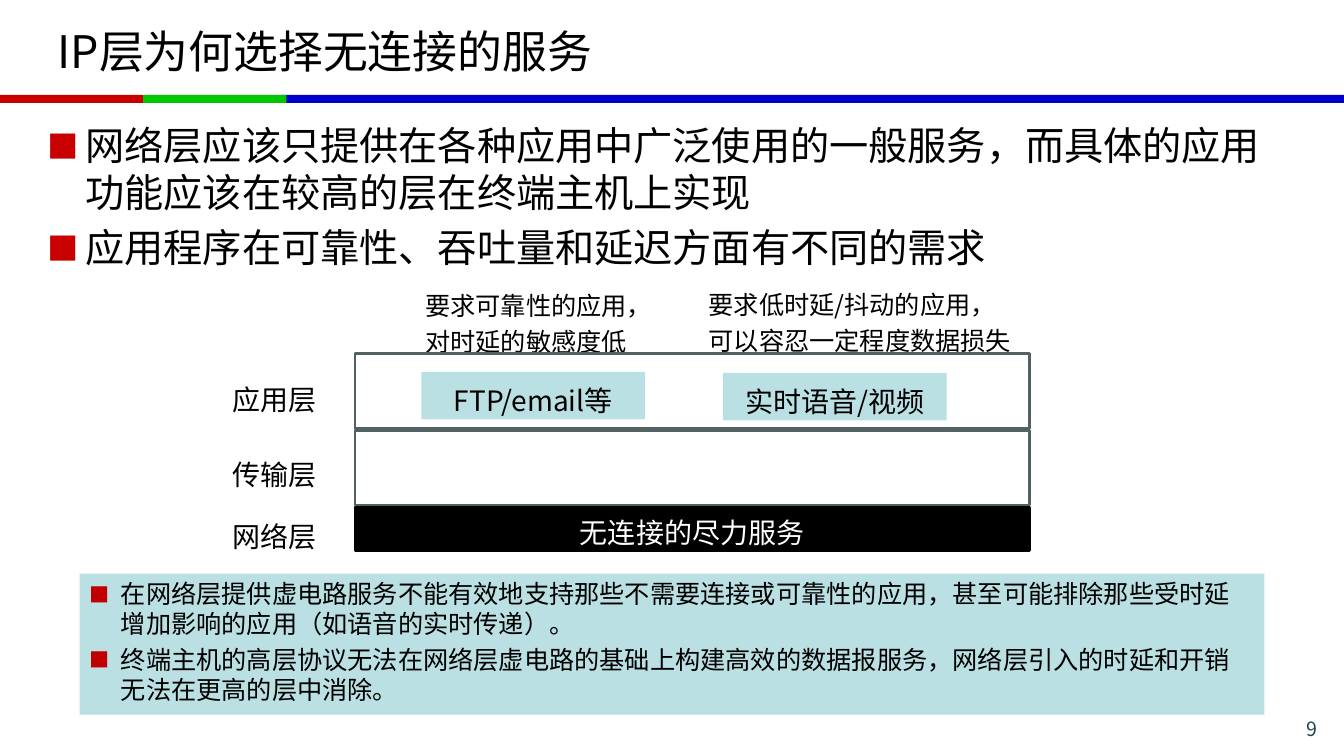
from lxml import etree
from pptx import Presentation
from pptx.dml.color import RGBColor
from pptx.enum import shapes, text
from pptx.oxml import ns
from pptx.util import Inches, Pt

FONT = "Noto Sans CJK SC"
COLORS = {
    "black": "000000", "white": "FFFFFF", "red": "C80000", "green": "00C800",
    "blue": "0000C8", "dark_red": "C00000", "pale": "BBE0E3",
    "slate": "526263", "teal": "1E4649",
}
ALIGN = text.PP_ALIGN
ANCHOR = text.MSO_ANCHOR


def add_rect(page, place, fill=None, line=None):
    rect = page.shapes.add_shape(
        shapes.MSO_SHAPE.RECTANGLE, *[Inches(length) for length in place])
    rect.shadow.inherit = False
    if fill:
        rect.fill.solid()
        rect.fill.fore_color.rgb = RGBColor.from_string(COLORS[fill])
    else:
        rect.fill.background()
    if line:
        rect.line.color.rgb = RGBColor.from_string(COLORS[line])
        rect.line.width = Pt(2)
    else:
        rect.line.fill.background()
    return rect


def write(box, lines, size, color="black", align=ALIGN.LEFT, spacing=1.0,
          anchor=ANCHOR.TOP, wrap=True, bullet=None, indent=0):
    frame = box.text_frame
    frame.word_wrap = wrap
    frame.vertical_anchor = anchor
    for index, line in enumerate(lines):
        para = frame.add_paragraph() if index else frame.paragraphs[0]
        para.alignment = align
        para.line_spacing = spacing
        para.space_before = Pt(size * 0.2 if index else 0)
        if bullet:
            props = para._p.get_or_add_pPr()
            props.set("marL", str(Inches(indent)))
            props.set("indent", str(-Inches(indent)))
            tint = etree.SubElement(props, ns.qn("a:buClr"))
            etree.SubElement(tint, ns.qn("a:srgbClr"), val=COLORS[bullet])
            etree.SubElement(props, ns.qn("a:buSzPct"), val="80000")
            etree.SubElement(props, ns.qn("a:buFont"), typeface=FONT)
            etree.SubElement(props, ns.qn("a:buChar"), char="■")
        span = para.add_run()
        span.text = line
        for name, value in {"size": Pt(size), "name": FONT, "bold": False}.items():
            setattr(span.font, name, value)
        span.font.color.rgb = RGBColor.from_string(COLORS[color])
        etree.SubElement(span._r.get_or_add_rPr(), ns.qn("a:ea"), typeface=FONT)


deck = Presentation()
deck.slide_width = Inches(13.33)
deck.slide_height = Inches(7.5)
page = deck.slides.add_slide(deck.slide_layouts[5])

for left, width, color in [(2.79, 10.54, "blue"), (0, 1.42, "red"), (1.42, 1.42, "green")]:
    add_rect(page, (left, 0.94, width, 0.08), color)

title = page.shapes.title
place = {"left": 0.47, "top": 0.08, "width": 12.39, "height": 0.84}
for name, value in place.items():
    setattr(title, name, Inches(value))
write(title, ["IP层为何选择无连接的服务"], 32, anchor=ANCHOR.MIDDLE)

labels = [
    ((0.37, 1.15, 12.6, 1.87),
     ["网络层应该只提供在各种应用中广泛使用的一般服务，而具体的应用功能应该在较高的层在终端主机上实现",
      "应用程序在可靠性、吞吐量和延迟方面有不同的需求"],
     {"size": 28, "bullet": "red", "indent": 0.38}),
    ((11.86, 7.06, 1.3, 0.28), ["9"],
     {"size": 14, "color": "teal", "align": ALIGN.RIGHT}),
    ((4.12, 2.77, 2.63, 0.79), ["要求可靠性的应用，对时延的敏感度低"],
     {"size": 18, "spacing": 1.2}),
    ((6.93, 2.76, 3.28, 0.79), ["要求低时延/抖动的应用，可以容忍一定程度数据损失"],
     {"size": 18, "spacing": 1.2}),
]
for top, layer in [(3.68, "应用层"), (4.42, "传输层"), (5.04, "网络层")]:
    labels.append(((2.21, top, 1.04, 0.47), [layer],
                   {"size": 20, "spacing": 1.2, "wrap": False}))
for place, lines, formats in labels:
    box = page.shapes.add_textbox(*[Inches(length) for length in place])
    write(box, lines, **formats)

network = add_rect(page, (3.52, 5.03, 6.69, 0.43), "black", "black")
write(network, ["无连接的尽力服务"], 20, "white", ALIGN.CENTER, 1.2, ANCHOR.MIDDLE)
for top in (3.51, 4.27):
    add_rect(page, (3.52, top, 6.69, 0.74), line="slate")

for left, top, name in [(4.18, 3.69, "FTP/email等"), (7.17, 3.7, "实时语音/视频")]:
    application = add_rect(page, (left, top, 2.22, 0.47), "pale")
    write(application, [name], 20, align=ALIGN.CENTER, spacing=1.2)

reasons = add_rect(page, (0.79, 5.69, 11.75, 1.4), "pale")
write(reasons, [
    "在网络层提供虚电路服务不能有效地支持那些不需要连接或可靠性的应用，甚至可能排除那些受时延增加影响的应用（如语音的实时传递）。",
    "终端主机的高层协议无法在网络层虚电路的基础上构建高效的数据报服务，网络层引入的时延和开销无法在更高的层中消除。",
], 18, bullet="dark_red", indent=0.31)

deck.save("out.pptx")
